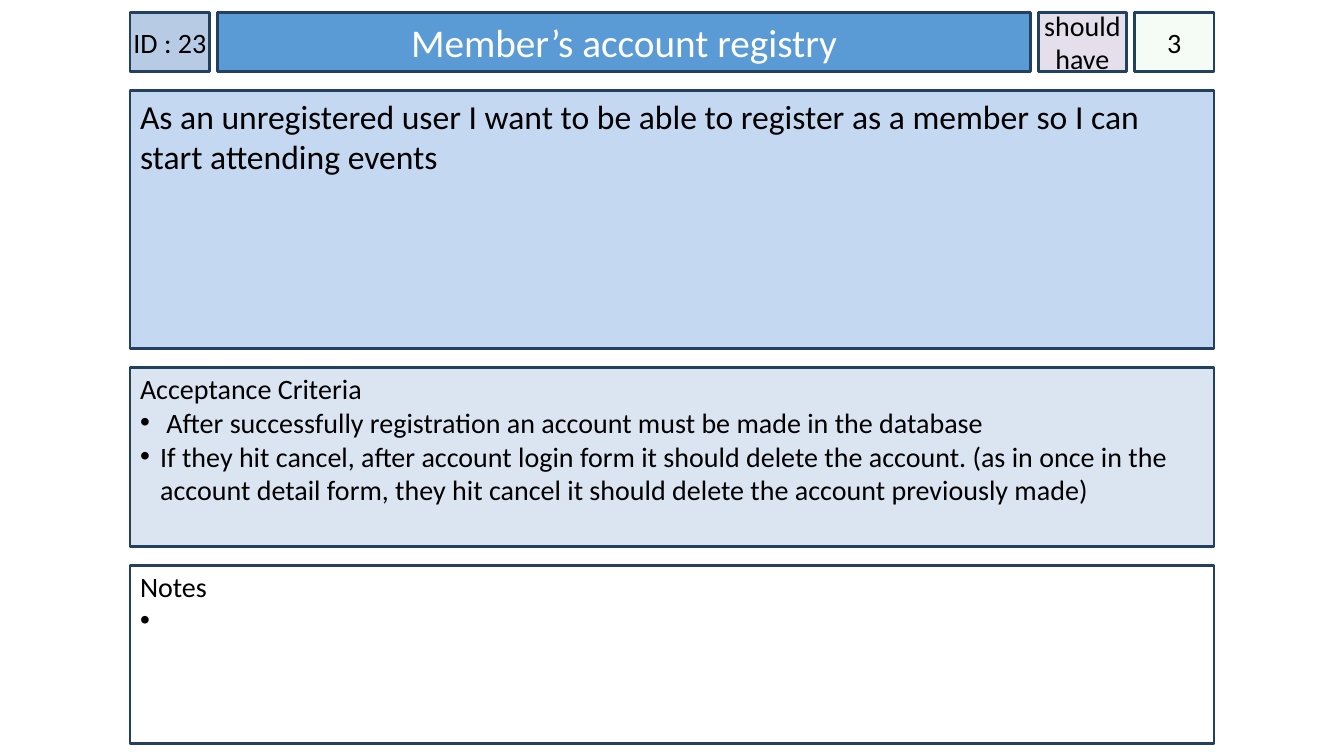
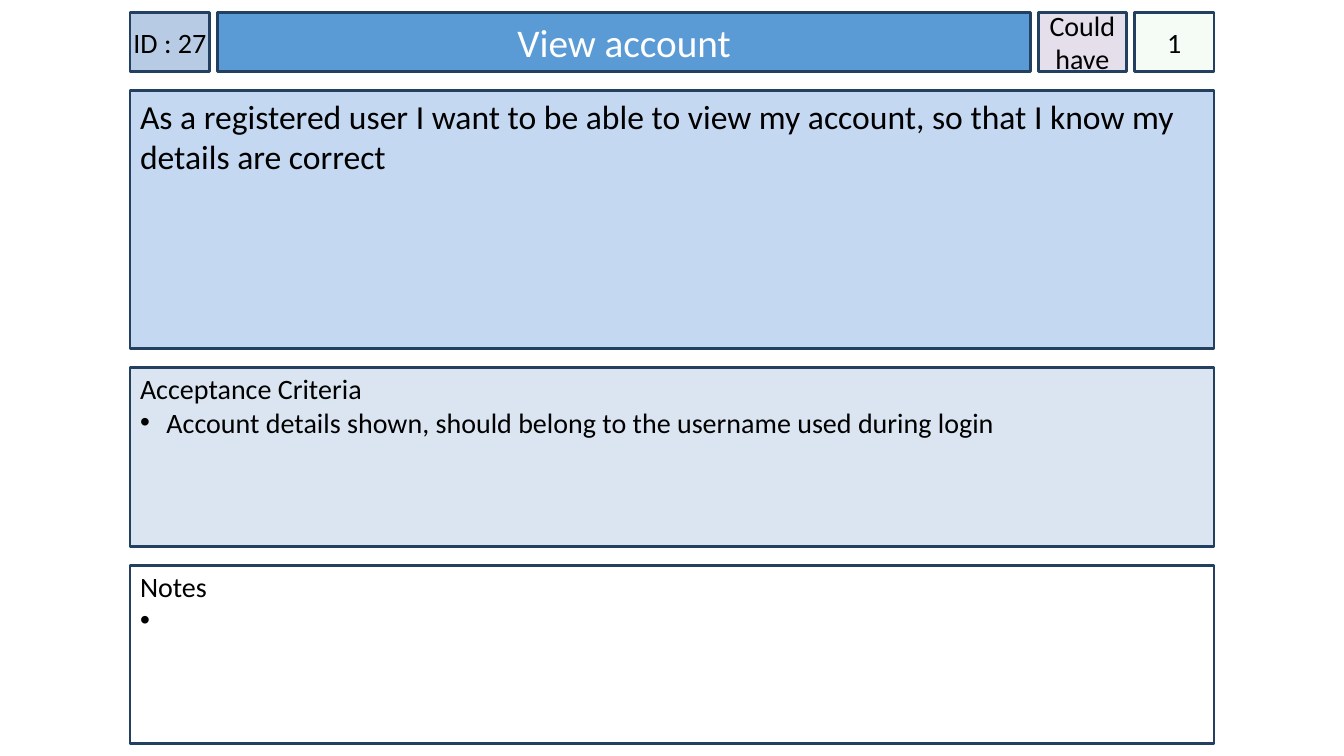
import pptx
import pptx.util
import pptx.dml.color
import pptx.enum.shapes
import pptx.enum.text
import pptx.oxml.ns
import lxml.etree

Inches = pptx.util.Inches
ALIGN = pptx.enum.text.PP_ALIGN
ANCHOR = pptx.enum.text.MSO_ANCHOR

COLORS = {
    "border": "244061",
    "id": "B7CCE4",
    "title": "5B9BD5",
    "priority": "E5DFEC",
    "estimate": "CCF0CD",
    "story": "C5D8F1",
    "criteria": "DAE5F1",
    "notes": "FFFFFF",
    "text": "000000",
    "title_text": "FFFFFF",
}
FONT = "Calibri"
CARD_LEFT, CARD_TOP, CARD_WIDTH = 1.29, 0.12, 10.75
HEADER_HEIGHT, STORY_HEIGHT, LIST_HEIGHT = 0.59, 2.56, 1.77
ID_WIDTH, PRIORITY_WIDTH, ESTIMATE_WIDTH = 0.79, 0.87, 0.79
COLUMN_GAP, ROW_GAP = 0.08, 0.19
BULLET_INDENT = 0.2

STORIES = [
    {
        "id": "ID : 23",
        "title": "Member’s account registry",
        "priority": "should have",
        "estimate": "3",
        "story": "As an unregistered user I want to be able to register as a member "
                 "so I can start attending events",
        "criteria": [
            " After successfully registration an account must be made in the database",
            "If they hit cancel, after account login form it should delete the account. "
            "(as in once in the account detail form, they hit cancel it should delete "
            "the account previously made)",
        ],
        "notes": [" "],
    },
    {
        "id": "ID : 27",
        "title": "View account",
        "priority": "Could have",
        "estimate": "1",
        "story": "As a registered user I want to be able to view my account, "
                 "so that I know my details are correct",
        "criteria": [
            " Account details shown, should belong to the username used during login",
        ],
        "notes": [" "],
    },
]


def rgb(name):
    return pptx.dml.color.RGBColor.from_string(COLORS[name])


def add_xml(parent, tag, **attributes):
    return lxml.etree.SubElement(parent, pptx.oxml.ns.qn(tag), **attributes)


def add_panel(slide, box, fill, opacity=None):
    """Draw a bordered rectangle; opacity is a percentage."""
    panel = slide.shapes.add_shape(
        pptx.enum.shapes.MSO_SHAPE.RECTANGLE, *map(Inches, box))
    panel.shadow.inherit = False
    panel.fill.solid()
    panel.fill.fore_color.rgb = rgb(fill)
    panel.line.color.rgb = rgb("border")
    panel.line.width = pptx.util.Pt(2)
    if opacity is not None:
        color = panel.fill._xPr.find(".//" + pptx.oxml.ns.qn("a:srgbClr"))
        add_xml(color, "a:alpha", val=str(opacity * 1000))
    return panel


def add_bullet(paragraph):
    properties = paragraph._p.get_or_add_pPr()
    indent = Inches(BULLET_INDENT)
    properties.set("marL", str(indent))
    properties.set("indent", str(-indent))
    add_xml(add_xml(properties, "a:buClr"), "a:srgbClr", val=COLORS["text"])
    add_xml(properties, "a:buFont", typeface="Arial")
    add_xml(properties, "a:buChar", char="•")


def write(panel, text, bullets=(), size=20, color="text", align=ALIGN.LEFT,
          anchor=ANCHOR.TOP, side_inset=0.1, top_inset=0.05):
    frame = panel.text_frame
    frame.word_wrap = True
    frame.vertical_anchor = anchor
    frame.margin_left = frame.margin_right = Inches(side_inset)
    frame.margin_top, frame.margin_bottom = Inches(top_inset), Inches(0.05)
    for index, line in enumerate([text, *bullets]):
        paragraph = frame.add_paragraph() if index else frame.paragraphs[0]
        paragraph.alignment = align
        if index:
            add_bullet(paragraph)
        run = paragraph.add_run()
        run.text = line
        run.font.name = FONT
        run.font.size = pptx.util.Pt(size)
        run.font.color.rgb = rgb(color)


def add_header(slide, box, story):
    """Place ID, title, priority and estimate side by side; the title fills the rest."""
    left, top, width, height = box
    title_width = (width - ID_WIDTH - PRIORITY_WIDTH - ESTIMATE_WIDTH
                   - 3 * COLUMN_GAP)
    cells = [
        ("id", ID_WIDTH, None, {}),
        ("title", title_width, None,
         {"size": 28, "color": "title_text", "side_inset": 0.1}),
        ("priority", PRIORITY_WIDTH, None, {}),
        ("estimate", ESTIMATE_WIDTH, 20, {}),
    ]
    for part, cell_width, opacity, text_format in cells:
        cell = add_panel(slide, (left, top, cell_width, height), part, opacity)
        write(cell, story[part], **{"align": ALIGN.CENTER, "anchor": ANCHOR.MIDDLE,
                                    "side_inset": 0, **text_format})
        left += cell_width + COLUMN_GAP


def add_story(slide, box, story):
    write(add_panel(slide, box, "story"), story["story"], size=24)


def add_criteria(slide, box, story):
    write(add_panel(slide, box, "criteria"), "Acceptance Criteria",
          bullets=story["criteria"], top_inset=0.04)


def add_notes(slide, box, story):
    write(add_panel(slide, box, "notes"), "Notes",
          bullets=story["notes"], top_inset=0.04)


def add_story_card(deck, story):
    slide = deck.slides.add_slide(deck.slide_layouts[6])
    top = CARD_TOP
    for add_region, height in [(add_header, HEADER_HEIGHT), (add_story, STORY_HEIGHT),
                               (add_criteria, LIST_HEIGHT), (add_notes, LIST_HEIGHT)]:
        add_region(slide, (CARD_LEFT, top, CARD_WIDTH, height), story)
        top += height + ROW_GAP


def main():
    deck = pptx.Presentation()
    deck.slide_width, deck.slide_height = Inches(13.33), Inches(7.5)
    for story in STORIES:
        add_story_card(deck, story)
    deck.save("out.pptx")


if __name__ == "__main__":
    main()
